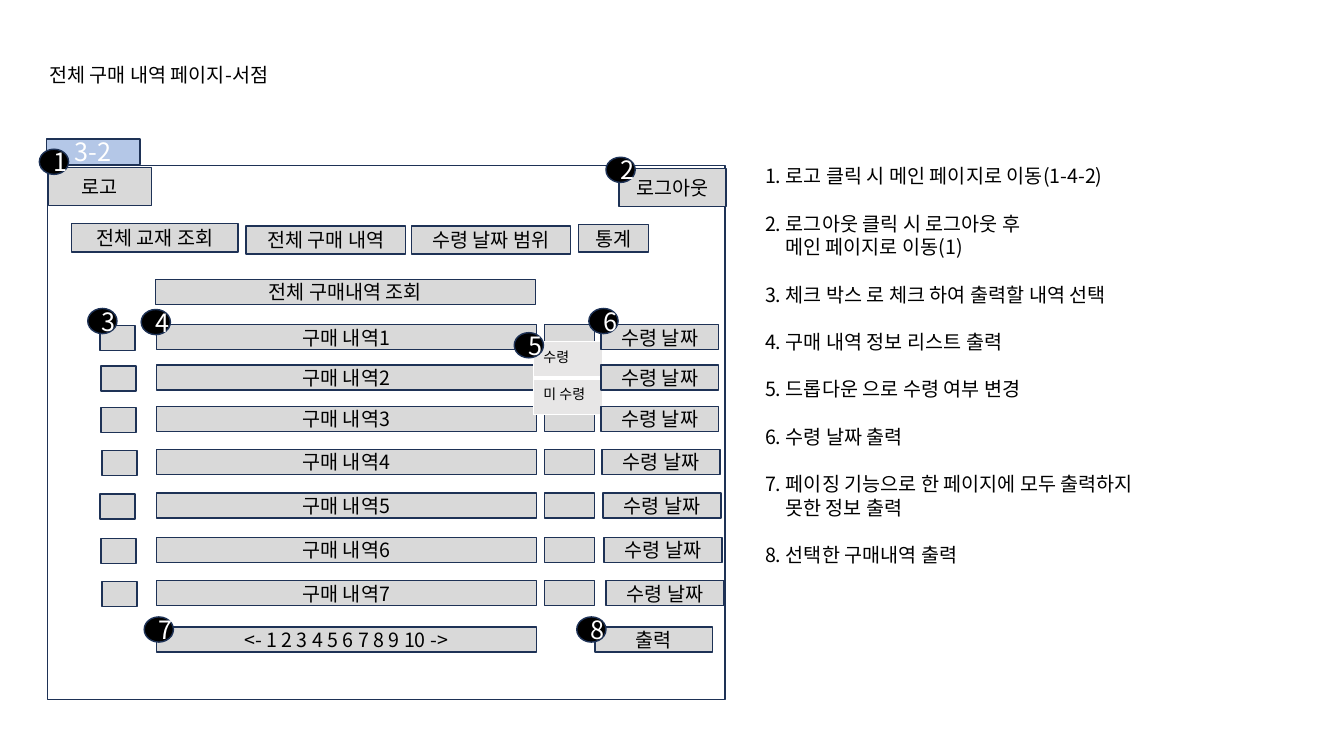
from lxml import etree
from pptx import Presentation
from pptx.dml.color import RGBColor
from pptx.enum.shapes import MSO_SHAPE
from pptx.enum.text import PP_ALIGN
from pptx.oxml.ns import qn
from pptx.util import Pt

RECTANGLE, OVAL = MSO_SHAPE.RECTANGLE, MSO_SHAPE.OVAL
CENTER = PP_ALIGN.CENTER
PX = 9144  # 100 px to the inch
FONT = "Noto Sans CJK KR"
BLACK, WHITE, NAVY = "000000", "FFFFFF", "1E3256"
GREY, LIGHT_GREY, BLUE = "D9D9D9", "E7E6E6", "B4C7E7"
LINE_PITCH = Pt(16.9)


def write(paragraph, text, size=14, color=BLACK):
    run = paragraph.add_run()
    run.text = text
    run.font.name = FONT
    run.font.size = Pt(size)
    run.font.color.rgb = RGBColor.from_string(color)
    etree.SubElement(run.font._element, qn("a:ea"), typeface=FONT)


def add_box(left, top, width, height, text="", fill=GREY, kind=RECTANGLE, size=14, color=BLACK):
    shape = slide.shapes.add_shape(kind, left * PX, top * PX, width * PX, height * PX)
    shape.shadow.inherit = False
    shape.fill.solid()
    shape.fill.fore_color.rgb = RGBColor.from_string(fill)
    shape.line.color.rgb = RGBColor.from_string(NAVY)
    shape.line.width = Pt(1)
    if text:
        paragraph = shape.text_frame.paragraphs[0]
        paragraph.alignment = CENTER
        write(paragraph, text, size, color)


presentation = Presentation()
presentation.slide_width, presentation.slide_height = 1333 * PX, 750 * PX
slide = presentation.slides.add_slide(presentation.slide_layouts[6])

# Page frame and its number tag
add_box(47, 164, 672, 530, fill=WHITE)
add_box(46, 138, 93, 25, "3-2", fill=BLUE, size=18, color=WHITE)

# Title
title = slide.shapes.add_textbox(39 * PX, 57 * PX, 672 * PX, 34 * PX)
title.text_frame.word_wrap = True
paragraph = title.text_frame.paragraphs[0]
paragraph.line_spacing = LINE_PITCH
write(paragraph, "전체 구매 내역 페이지-서점")

# Explanations: each item may go on in an indented second line
notes = [
    ("1. 로고 클릭 시 메인 페이지로 이동(1-4-2)",),
    ("2. 로그아웃 클릭 시 로그아웃 후", "메인 페이지로 이동(1)"),
    ("3. 체크 박스 로 체크 하여 출력할 내역 선택",),
    ("4. 구매 내역 정보 리스트 출력",),
    ("5. 드롭다운 으로 수령 여부 변경",),
    ("6. 수령 날짜 출력",),
    ("7. 페이징 기능으로 한 페이지에 모두 출력하지", "못한 정보 출력"),
    ("8. 선택한 구매내역 출력",),
]
notes_box = slide.shapes.add_textbox(745 * PX, 158 * PX, 464 * PX, 411 * PX)
notes_frame = notes_box.text_frame
notes_frame.word_wrap = True
paragraph = notes_frame.paragraphs[0]
for item, lines in enumerate(notes):
    for part, line in enumerate(lines):
        if item or part:
            paragraph = notes_frame.add_paragraph()
        paragraph.line_spacing = LINE_PITCH
        if item and part == 0:
            paragraph.space_before = LINE_PITCH
        paragraph._p.get_or_add_pPr().set("marL", str((24 if part else 4) * PX))
        write(paragraph, line)

# Header buttons, menu and list heading
for left, top, width, height, label in [
    (614, 167, 106, 38, "로그아웃"),
    (48, 166, 102, 38, "로고"),
    (71, 222, 165, 28, "전체 교재 조회"),
    (244, 224, 158, 28, "전체 구매 내역"),
    (408, 224, 158, 28, "수령 날짜 범위"),
    (574, 223, 69, 27, "통계"),
    (154, 277, 377, 25, "전체 구매내역 조회"),
]:
    add_box(left, top, width, height, label)

# Purchase rows: top, checkbox left, date left
rows = [
    (322, 99, 596), (362, 100, 596), (403, 100, 596), (446, 101, 597),
    (489, 99, 598), (533, 100, 599), (576, 101, 601),
]
for number, (top, checkbox_left, date_left) in enumerate(rows, 1):
    add_box(checkbox_left, top + 1, 35, 25)
    add_box(155, top, 377, 25, f"구매 내역{number}")
    add_box(540, top, 50, 25)

# Open dropdown
dropdown = slide.shapes.add_table(2, 1, 529 * PX, 339 * PX, 69 * PX, 72 * PX).table
dropdown.first_row = dropdown.horz_banding = False
for index, option in enumerate(("수령", "미 수령")):
    dropdown.rows[index].height = 36 * PX
    cell = dropdown.cell(index, 0)
    write(cell.text_frame.paragraphs[0], option, size=10)
    properties = cell._tc.get_or_add_tcPr()
    for side in ("lnL", "lnR", "lnT", "lnB"):
        divider = (index, side) in ((0, "lnB"), (1, "lnT"))
        border = etree.SubElement(properties, qn(f"a:{side}"), w=str(Pt(3 if divider else 1)))
        border_fill = etree.SubElement(border, qn("a:solidFill"))
        etree.SubElement(border_fill, qn("a:srgbClr"), val=WHITE)
    cell.fill.solid()
    cell.fill.fore_color.rgb = RGBColor.from_string(LIGHT_GREY)

# Receipt dates, paging bar and print button
for top, checkbox_left, date_left in rows:
    add_box(date_left, top, 117, 25, "수령 날짜")
add_box(155, 622, 377, 25, "<- 1 2 3 4 5 6 7 8 9 10 ->")
add_box(590, 622, 117, 25, "출력")

# Numbered markers
markers = [
    (39, 148), (601, 156), (87, 306), (140, 307),
    (510, 330), (584, 306), (143, 612), (572, 612),
]
for number, (left, top) in enumerate(markers, 1):
    add_box(left, top, 29, 25, str(number), fill=BLACK, kind=OVAL, size=18, color=WHITE)

presentation.save("out.pptx")
